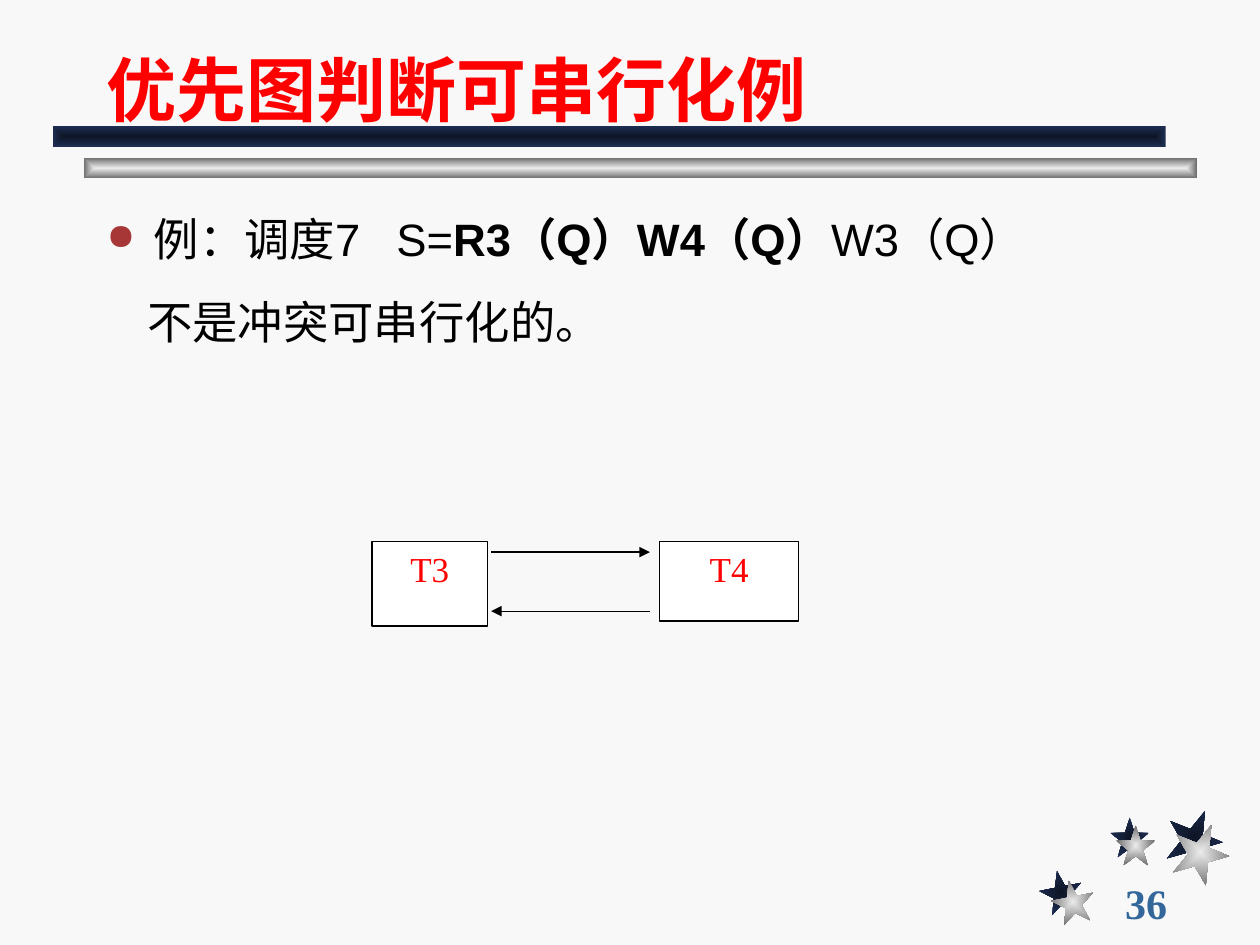
from dataclasses import dataclass

from lxml import etree
from pptx import Presentation
from pptx.dml.color import RGBColor
from pptx.enum.shapes import MSO_CONNECTOR, MSO_SHAPE
from pptx.enum.text import MSO_ANCHOR, MSO_AUTO_SIZE, PP_ALIGN
from pptx.oxml.ns import qn
from pptx.util import Cm, Pt

RECT, STAR = MSO_SHAPE.RECTANGLE, MSO_SHAPE.STAR_5_POINT
STRAIGHT = MSO_CONNECTOR.STRAIGHT
TOP, MIDDLE, BOTTOM = MSO_ANCHOR.TOP, MSO_ANCHOR.MIDDLE, MSO_ANCHOR.BOTTOM
LEFT, CENTER = PP_ALIGN.LEFT, PP_ALIGN.CENTER
NO_AUTOFIT = MSO_AUTO_SIZE.NONE

PAPER = RGBColor(0xF8, 0xF8, 0xF8)
WHITE = RGBColor(0xFF, 0xFF, 0xFF)
BLACK = RGBColor(0x00, 0x00, 0x00)
RED = RGBColor(0xFF, 0x00, 0x00)
BLUE = RGBColor(0x33, 0x66, 0x99)
NAVY = (RGBColor(0x0E, 0x15, 0x26), RGBColor(0x1E, 0x2E, 0x53))
SILVER = (RGBColor(0xEA, 0xEA, 0xEA), RGBColor(0x6C, 0x6C, 0x6C))
BULLET = "A73737"
SANS, SERIF = "Arial", "Times New Roman"


@dataclass
class Ornament:
    """A gradient shape; lengths in centimetres."""
    kind: int
    x: float
    y: float
    w: float
    h: float
    colors: tuple
    rotation: float = 0


@dataclass
class Node:
    label: str
    x: float
    y: float
    w: float
    h: float


@dataclass
class Arrow:
    x1: float
    x2: float
    y: float


ORNAMENTS = [
    Ornament(STAR, 20.96, 17.55, 0.86, 0.86, NAVY, 349),
    Ornament(STAR, 22.38, 16.48, 0.79, 0.81, NAVY),
    Ornament(STAR, 23.5, 16.31, 1.14, 1.17, NAVY, 22),
    Ornament(STAR, 21.2, 17.75, 0.86, 0.86, SILVER, 349),
    Ornament(STAR, 22.5, 16.64, 0.79, 0.81, SILVER),
    Ornament(STAR, 23.63, 16.59, 1.14, 1.17, SILVER, 22),
    Ornament(RECT, 1.69, 3.18, 22.44, 0.42, SILVER),
    Ornament(RECT, 1.06, 2.54, 22.44, 0.42, NAVY),
]
NODES = [Node("T3", 7.5, 10.92, 2.33, 1.7), Node("T4", 13.3, 10.92, 2.8, 1.6)]
ARROWS = [Arrow(9.9, 13.1, 11.13), Arrow(13.1, 9.9, 12.32)]


def add_run(p, text: str, size: float, font: str, color: RGBColor, bold: bool = False) -> None:
    r = p.add_run()
    r.text = text
    r.font.size, r.font.name, r.font.bold = Pt(size), font, bold
    r.font.color.rgb = color


def add_ornament(s, o: Ornament) -> None:
    sp = s.shapes.add_shape(o.kind, Cm(o.x), Cm(o.y), Cm(o.w), Cm(o.h))
    sp.rotation = o.rotation
    sp.shadow.inherit = False
    sp.line.fill.background()
    sp.fill.gradient()
    for stop, color, position in zip(sp.fill.gradient_stops, o.colors, (0, 1)):
        stop.color.rgb, stop.position = color, position
    grad = sp._element.spPr.find(qn("a:gradFill"))
    grad.remove(grad.find(qn("a:lin")))
    shade = etree.SubElement(grad, qn("a:path"), path="rect")
    etree.SubElement(shade, qn("a:fillToRect"), l="50000", t="50000", r="50000", b="50000")


def add_node(s, n: Node) -> None:
    sp = s.shapes.add_shape(RECT, Cm(n.x), Cm(n.y), Cm(n.w), Cm(n.h))
    sp.shadow.inherit = False
    sp.fill.solid()
    sp.fill.fore_color.rgb = WHITE
    sp.line.color.rgb, sp.line.width = BLACK, Pt(0.75)
    tf = sp.text_frame
    tf.vertical_anchor = TOP
    p = tf.paragraphs[0]
    p.alignment = CENTER
    add_run(p, n.label, 20, SERIF, RED)


def add_arrow(s, a: Arrow) -> None:
    c = s.shapes.add_connector(STRAIGHT, Cm(a.x1), Cm(a.y), Cm(a.x2), Cm(a.y))
    c.line.color.rgb, c.line.width = BLACK, Pt(0.75)
    etree.SubElement(c.line._get_or_add_ln(), qn("a:tailEnd"), type="triangle")
    etree.SubElement(c._element.spPr, qn("a:effectLst"))


def add_text_frame(s, x: float, y: float, w: float, h: float):
    tf = s.shapes.add_textbox(Cm(x), Cm(y), Cm(w), Cm(h)).text_frame
    tf.word_wrap = True
    return tf


def set_bullet_and_tab(p, tab: float) -> None:
    pPr = p._p.get_or_add_pPr()
    pPr.set("marL", str(Cm(0.95)))
    pPr.set("indent", str(-Cm(0.95)))
    color = etree.SubElement(pPr, qn("a:buClr"))
    etree.SubElement(color, qn("a:srgbClr"), val=BULLET)
    etree.SubElement(pPr, qn("a:buSzPct"), val="80000")
    etree.SubElement(pPr, qn("a:buChar"), char="●")
    tabs = etree.SubElement(pPr, qn("a:tabLst"))
    etree.SubElement(tabs, qn("a:tab"), pos=str(Cm(tab)), algn="l")


def add_title(s) -> None:
    title = s.shapes.title
    title.left, title.top, title.width, title.height = Cm(1.9), Cm(0.42), Cm(21.6), Cm(2.34)
    tf = title.text_frame
    tf.auto_size, tf.vertical_anchor = NO_AUTOFIT, BOTTOM
    p = tf.paragraphs[0]
    p.alignment = LEFT
    add_run(p, "优先图判断可串行化例", 40, SANS, RED, True)


def add_body(s) -> None:
    tf = add_text_frame(s, 1.9, 3.81, 21, 4.72)
    p = tf.paragraphs[0]
    p.line_spacing = 1.3
    set_bullet_and_tab(p, 5.84)
    for text, bold in [("例：调度7\tS=", False), ("R3（Q）W4（Q）", True), ("W3（Q）", False)]:
        add_run(p, text, 25.9, SANS, BLACK, bold)
    p = tf.add_paragraph()
    p.line_spacing, p.space_before = 1.3, Pt(7)
    p._p.get_or_add_pPr().set("marL", str(Cm(0.82)))
    add_run(p, "不是冲突可串行化的。", 25.9, SANS, BLACK)


def add_page_number(s) -> None:
    tf = add_text_frame(s, 22.43, 17.78, 2.75, 0.85)
    tf.vertical_anchor = MIDDLE
    add_run(tf.paragraphs[0], "36", 24, SERIF, BLUE, True)


def main() -> None:
    prs = Presentation()
    prs.slide_width, prs.slide_height = Cm(25.4), Cm(19.05)
    s = prs.slides.add_slide(prs.slide_layouts[5])
    s.background.fill.solid()
    s.background.fill.fore_color.rgb = PAPER
    for ornament in ORNAMENTS:
        add_ornament(s, ornament)
    add_page_number(s)
    add_title(s)
    add_body(s)
    for node in NODES:
        add_node(s, node)
    for arrow in ARROWS:
        add_arrow(s, arrow)
    prs.save("out.pptx")


if __name__ == "__main__":
    main()
